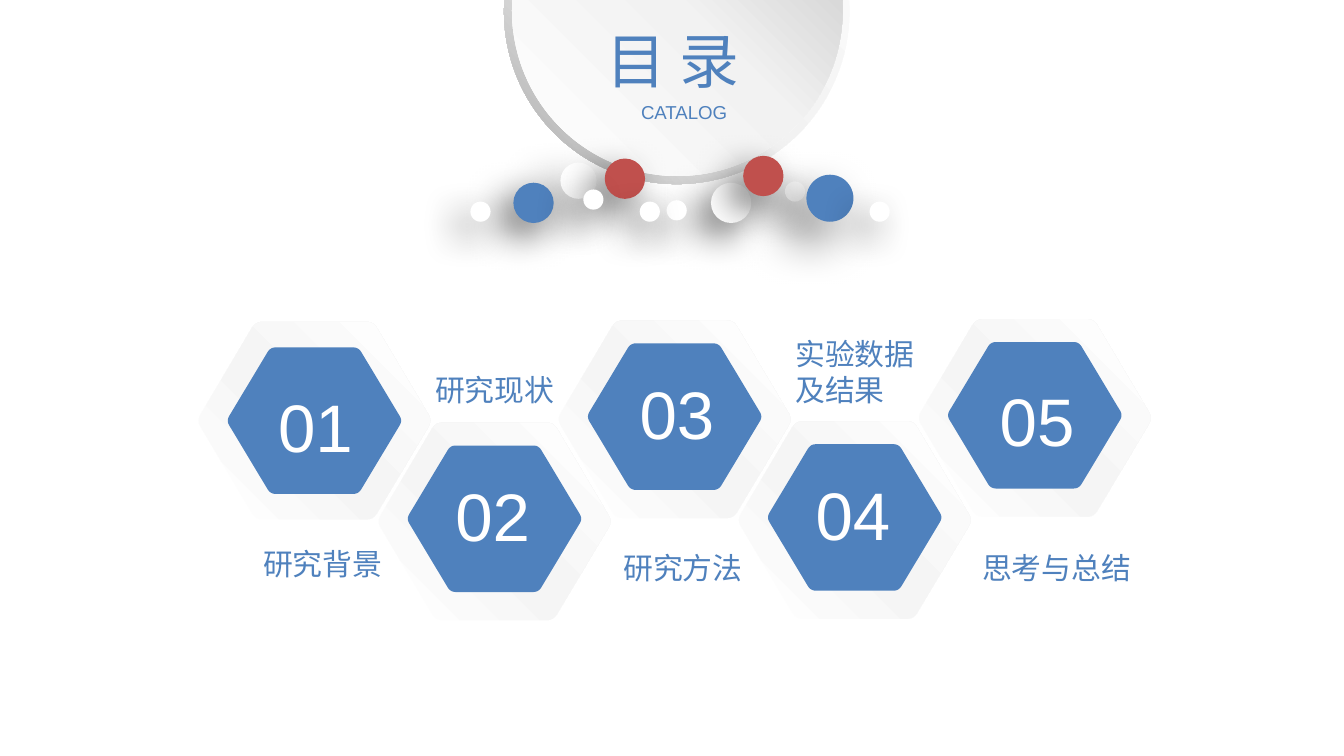
from math import hypot

from lxml.etree import SubElement
from pptx import Presentation
from pptx.dml.color import RGBColor
from pptx.enum.shapes import MSO_SHAPE
from pptx.enum.text import MSO_ANCHOR, PP_ALIGN
from pptx.oxml.ns import qn
from pptx.util import Inches, Pt

BLUE, RED, WHITE = "4F81BD", "C0504D", "FFFFFF"
RING_STOPS = [(0, WHITE), (55, "F2F2F2"), (100, "A6A6A6")]
DISC_STOPS = [(0, WHITE), (51, "F2F2F2"), (100, "BFBFBF")]
HEXAGON_STOPS = [(0, WHITE), (47, "F5F5F5"), (100, WHITE)]

DOTS = [
    (5.29, 1.36, 0.3, WHITE), (4.96, 1.49, 0.15, WHITE), (5.84, 1.35, 0.15, WHITE),
    (4.17, 1.21, 0.27, WHITE), (4.5, 1.18, 0.3, RED), (4.76, 1.5, 0.15, WHITE),
    (6, 1.3, 0.35, BLUE), (3.82, 1.36, 0.3, BLUE), (3.5, 1.5, 0.15, WHITE),
    (5.53, 1.16, 0.3, RED), (4.34, 1.41, 0.15, WHITE), (6.47, 1.5, 0.15, WHITE),
]
LARGE_SHADOW_DOTS = (3, 6)

HEXAGONS = [
    ("05", 7.7, 3.11, 3.09, (7.34, 2.77, 0.92, 0.71)),
    ("03", 5.02, 3.12, 3.1, (4.66, 2.72, 0.85, 0.71)),
    ("01", 2.34, 3.13, 3.13, (1.97, 2.82, 0.88, 0.71)),
    ("02", 3.68, 3.88, 3.86, (3.29, 3.48, 0.86, 0.71)),
    ("04", 6.36, 3.87, 3.85, (5.97, 3.47, 0.97, 0.71)),
]
LABELS = [
    ("研究背景", (1.86, 4.01, 1.12, 0.37)),
    ("研究现状", (3.14, 2.72, 1.33, 0.37)),
    ("研究方法", (4.54, 4.04, 1.12, 0.37)),
    ("实验数据及结果", (5.82, 2.45, 1.12, 0.64)),
    ("思考与总结", (7.21, 4.04, 1.43, 0.37)),
]


def color(value):
    """Turn a hex string into a colour."""
    return RGBColor.from_string(value)


def fill_solid(shape, value):
    """Give a shape a plain fill without line or shadow."""
    shape.shadow.inherit = False
    shape.line.fill.background()
    shape.fill.solid()
    shape.fill.fore_color.rgb = color(value)


def fill_gradient(shape, stops, angle):
    """Give a shape a linear gradient at a counter-clockwise angle."""
    shape.shadow.inherit = False
    shape.line.fill.background()
    shape.fill.gradient()
    shape.fill.gradient_angle = angle
    stop_list = shape._element.spPr.find(".//" + qn("a:gsLst"))
    for stop in list(stop_list):
        stop_list.remove(stop)
    for position, value in stops:
        stop = SubElement(stop_list, qn("a:gs"), pos=str(position * 1000))
        SubElement(stop, qn("a:srgbClr"), val=value)


def add_preset(slide, kind, left, top, size):
    """Add a preset shape in a square frame."""
    return slide.shapes.add_shape(
        kind, Inches(left), Inches(top), Inches(size), Inches(size))


def add_shadow(shape, opacity, blur, distance):
    """Cast a black shadow to the lower left."""
    effects = shape._element.spPr.find(qn("a:effectLst"))
    shadow = SubElement(
        effects, qn("a:outerShdw"), blurRad=str(Pt(blur)), dist=str(Pt(distance)),
        dir=str(135 * 60000), algn="tr", rotWithShape="0")
    black = SubElement(shadow, qn("a:srgbClr"), val="000000")
    SubElement(black, qn("a:alpha"), val=str(opacity * 1000))


def add_dot(slide, left, top, size, value, large_shadow):
    """Add a round dot with its shadow."""
    dot = add_preset(slide, MSO_SHAPE.OVAL, left, top, size)
    fill_solid(dot, value)
    add_shadow(dot, *((50, 25, 15) if large_shadow else (60, 20, 10)))


def toward(start, end, distance):
    """Find the point at a distance from start on the way to end."""
    share = distance / hypot(end[0] - start[0], end[1] - start[1])
    return tuple(a + (b - a) * share for a, b in zip(start, end))


def add_hexagon(slide, center_x, center_y, width, height):
    """Add a hexagon with rounded corners."""
    tip, side, half = width * 0.5, width * 0.25, height / 2
    corners = [(center_x + x, center_y + y) for x, y in (
        (tip, 0), (side, half), (-side, half), (-tip, 0), (-side, -half), (side, -half))]
    points = []
    for index, corner in enumerate(corners):
        start = toward(corner, corners[index - 1], width * 0.03)
        end = toward(corner, corners[(index + 1) % 6], width * 0.03)
        for step in range(7):
            t = step / 6
            points.append(tuple(
                Inches((1 - t) ** 2 * a + 2 * t * (1 - t) * b + t ** 2 * c)
                for a, b, c in zip(start, corner, end)))
    builder = slide.shapes.build_freeform(*points[0])
    builder.add_line_segments(points[1:], close=True)
    return builder.convert_to_shape()


def write_text(shape, frame, text, size, value, font="Arial",
               align=PP_ALIGN.LEFT, anchor=MSO_ANCHOR.TOP):
    """Place a text shape and write one formatted paragraph."""
    shape.left, shape.top, shape.width, shape.height = map(Inches, frame)
    text_frame = shape.text_frame
    text_frame.word_wrap = True
    text_frame.vertical_anchor = anchor
    paragraph = text_frame.paragraphs[0]
    paragraph.text = text
    paragraph.alignment = align
    paragraph.font.size = Pt(size)
    paragraph.font.name = font
    paragraph.font.color.rgb = color(value)
    properties = paragraph._p.pPr.find(qn("a:defRPr"))
    SubElement(properties, qn("a:ea"), typeface="Noto Sans CJK SC")


def add_text(slide, frame, *content, **options):
    """Add a text box."""
    box = slide.shapes.add_textbox(0, 0, 0, 0)
    write_text(box, frame, *content, **options)


def add_heading(slide):
    """Add the disc, its dots and the title."""
    ring = add_preset(slide, MSO_SHAPE.DONUT, 3.75, -1.2, 2.57)
    ring.adjustments[0] = 0.049
    fill_gradient(ring, RING_STOPS, 225)
    disc = add_preset(slide, MSO_SHAPE.OVAL, 3.81, -1.15, 2.46)
    fill_gradient(disc, DISC_STOPS, 45)
    for index, dot in enumerate(DOTS):
        add_dot(slide, *dot, index in LARGE_SHADOW_DOTS)
    title = slide.shapes.title
    write_text(title, (4.41, 0.13, 1.35, 0.64), "目 录", 32, BLUE, "Noto Sans CJK SC")
    slide.shapes._spTree.append(title._element)
    add_text(slide, (4.34, 0.62, 1.5, 0.42), "CATALOG", 10, BLUE,
             align=PP_ALIGN.CENTER, anchor=MSO_ANCHOR.MIDDLE)


def add_section(slide, number, center_x, outer_y, inner_y, frame):
    """Add a numbered hexagon with its pale border."""
    fill_solid(add_hexagon(slide, center_x, outer_y, 1.76, 1.49), WHITE)
    fill_gradient(add_hexagon(slide, center_x, outer_y, 1.75, 1.47), HEXAGON_STOPS, 45)
    fill_solid(add_hexagon(slide, center_x, inner_y, 1.31, 1.09), BLUE)
    add_text(slide, frame, number, 36, WHITE)


def main():
    """Build the contents slide."""
    presentation = Presentation()
    presentation.slide_width = Inches(10)
    presentation.slide_height = Inches(10 * 9 / 16)
    slide = presentation.slides.add_slide(presentation.slide_layouts[5])
    add_heading(slide)
    for section in HEXAGONS:
        add_section(slide, *section)
    for text, frame in LABELS:
        add_text(slide, frame, text, 16, BLUE)
    presentation.save("out.pptx")


if __name__ == "__main__":
    main()
